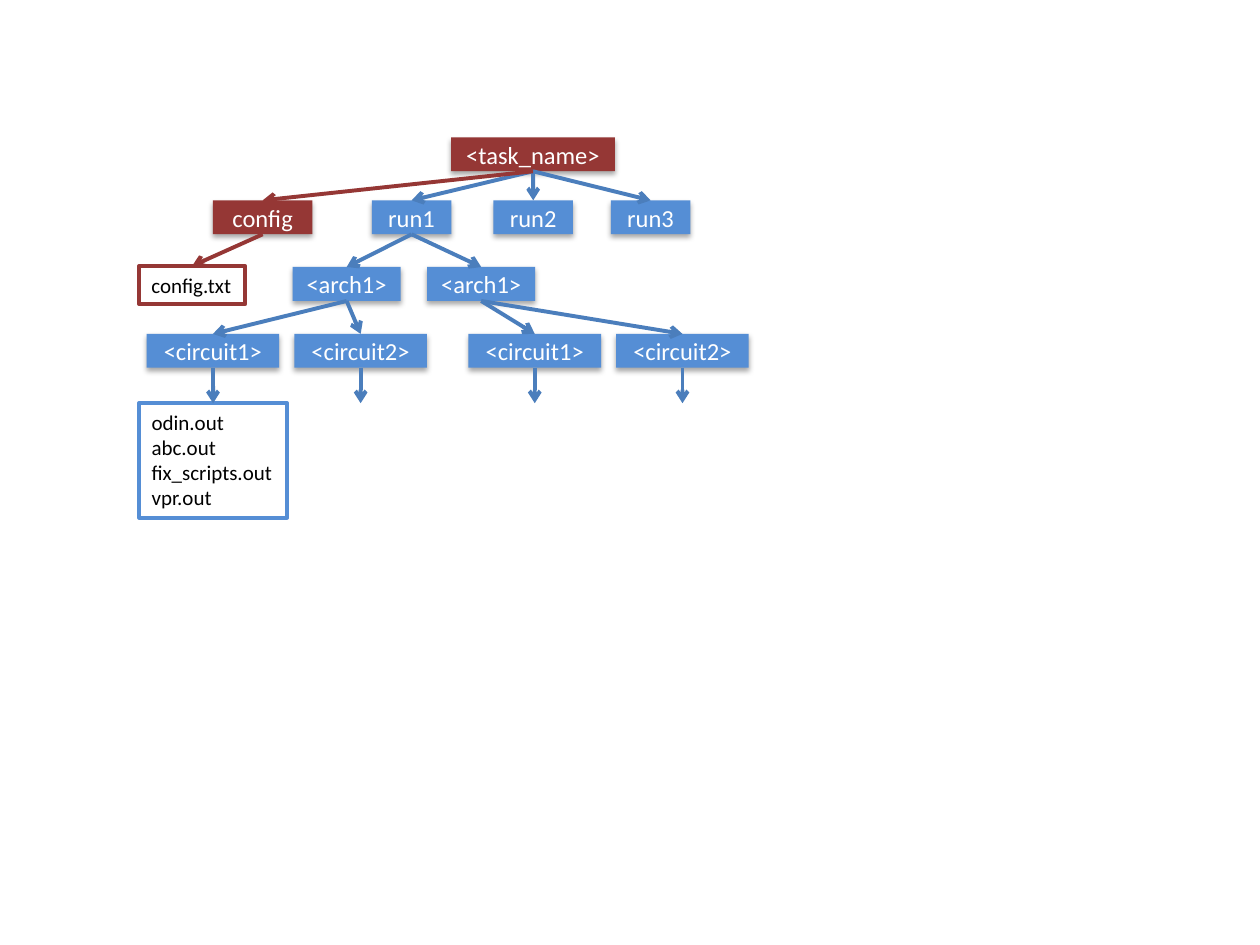
from dataclasses import dataclass
from typing import Optional

from lxml import etree
from pptx import Presentation
from pptx.dml.color import RGBColor
from pptx.enum.shapes import MSO_CONNECTOR, MSO_SHAPE
from pptx.enum.text import MSO_ANCHOR, MSO_AUTO_SIZE, PP_ALIGN
from pptx.oxml.ns import qn
from pptx.util import Pt

STRAIGHT = MSO_CONNECTOR.STRAIGHT
RECTANGLE = MSO_SHAPE.RECTANGLE
MIDDLE = MSO_ANCHOR.MIDDLE
FIT_SHAPE = MSO_AUTO_SIZE.SHAPE_TO_FIT_TEXT
CENTER = PP_ALIGN.CENTER

COLORS = {"red": "953735", "blue": "558ED5", "arrow": "4B7EBC",
          "white": "FFFFFF", "black": "000000"}
FONT = "Calibri"
LINE_WIDTH = 2.25
ROW_TOPS = (78.5, 114.5, 152.6, 190.8)
FOLDER_HEIGHT = 19.4
FILES_TOP = 230.4
TOP_SITE, BOTTOM_SITE = 0, 2


@dataclass(frozen=True)
class Folder:
    key: str
    label: str
    level: int
    left: float
    width: float
    parent: Optional[str] = None
    color: str = "blue"


@dataclass(frozen=True)
class FileList:
    names: tuple[str, ...]
    left: float
    top: float
    width: float
    height: float
    parent: str
    color: str


FOLDERS = (
    Folder("task", "<task_name>", 0, 257.8, 93.6, color="red"),
    Folder("run1", "run1", 1, 212.5, 45.4, "task"),
    Folder("run2", "run2", 1, 282, 45.4, "task"),
    Folder("run3", "run3", 1, 349.1, 45.4, "task"),
    Folder("left arch", "<arch1>", 2, 167.2, 61.8, "run1"),
    Folder("right arch", "<arch1>", 2, 244.1, 61.8, "run1"),
    Folder("left circuit1", "<circuit1>", 3, 83.8, 75.8, "left arch"),
    Folder("left circuit2", "<circuit2>", 3, 168.2, 75.8, "left arch"),
    Folder("right circuit1", "<circuit1>", 3, 267.7, 75.8, "right arch"),
    Folder("right circuit2", "<circuit2>", 3, 352.1, 75.8, "right arch"),
    Folder("config", "config", 1, 121.7, 56.8, "task", "red"),
)
FILE_LISTS = (
    FileList(("odin.out", "abc.out", "fix_scripts.out", "vpr.out"),
             79.5, FILES_TOP, 84.6, 65.4, "left circuit1", "blue"),
    FileList(("config.txt",), 79.5, 152, 60.6, 21.8, "config", "red"),
)
OPEN_BRANCHES = ("left circuit2", "right circuit1", "right circuit2")


def rgb(name: str) -> RGBColor:
    return RGBColor.from_string(COLORS[name])


def add_shadow(shape) -> None:
    shape.shadow.inherit = False
    effects = shape.element.spPr.find(qn("a:effectLst"))
    shadow = etree.SubElement(effects, qn("a:outerShdw"), blurRad=str(Pt(3.1)),
                              dist=str(Pt(1.8)), dir="5400000", rotWithShape="0")
    color = etree.SubElement(shadow, qn("a:srgbClr"), val=COLORS["black"])
    etree.SubElement(color, qn("a:alpha"), val="35000")


def add_folder(slide, folder: Folder):
    shape = slide.shapes.add_shape(
        RECTANGLE, Pt(folder.left), Pt(ROW_TOPS[folder.level]),
        Pt(folder.width), Pt(FOLDER_HEIGHT))
    shape.fill.solid()
    shape.fill.fore_color.rgb = rgb(folder.color)
    shape.line.fill.background()
    add_shadow(shape)
    frame = shape.text_frame
    frame.vertical_anchor = MIDDLE
    paragraph = frame.paragraphs[0]
    paragraph.text = folder.label
    paragraph.alignment = CENTER
    style_font(paragraph, 14, "white")
    return shape


def add_file_list(slide, files: FileList):
    box = slide.shapes.add_textbox(Pt(files.left), Pt(files.top),
                                   Pt(files.width), Pt(files.height))
    box.line.color.rgb = rgb(files.color)
    box.line.width = Pt(LINE_WIDTH)
    frame = box.text_frame
    frame.word_wrap = False
    frame.auto_size = FIT_SHAPE
    frame.text = "\n".join(files.names)
    for paragraph in frame.paragraphs:
        style_font(paragraph, 12, "black")
    return box


def style_font(paragraph, size: float, color: str) -> None:
    paragraph.font.name = FONT
    paragraph.font.size = Pt(size)
    paragraph.font.color.rgb = rgb(color)


def add_arrow(slide, source, color: str, target=None) -> None:
    """Point from the foot of a box to its child, or straight down."""
    center = source.left + source.width // 2
    arrow = slide.shapes.add_connector(
        STRAIGHT, center, source.top + source.height, center, Pt(FILES_TOP))
    arrow.begin_connect(source, BOTTOM_SITE)
    if target is not None:
        arrow.end_connect(target, TOP_SITE)
    arrow.line.color.rgb = rgb(color)
    arrow.line.width = Pt(LINE_WIDTH)
    properties = arrow.element.spPr
    etree.SubElement(properties.find(qn("a:ln")), qn("a:tailEnd"), type="arrow")
    etree.SubElement(properties, qn("a:effectLst"))


def arrow_color(color: str) -> str:
    return "red" if color == "red" else "arrow"


def main() -> None:
    presentation = Presentation()
    presentation.slide_width, presentation.slide_height = Pt(720), Pt(540)
    slide = presentation.slides.add_slide(presentation.slide_layouts[6])

    # Boxes
    folders = {folder.key: add_folder(slide, folder) for folder in FOLDERS}
    file_boxes = [add_file_list(slide, files) for files in FILE_LISTS]

    # Arrows between folders
    for folder in FOLDERS:
        if folder.parent:
            add_arrow(slide, folders[folder.parent], arrow_color(folder.color),
                      folders[folder.key])

    # Arrows to files, and to branches left open
    for files, box in zip(FILE_LISTS, file_boxes):
        add_arrow(slide, folders[files.parent], arrow_color(files.color), box)
    for key in OPEN_BRANCHES:
        add_arrow(slide, folders[key], "arrow")

    presentation.save("out.pptx")


if __name__ == "__main__":
    main()
